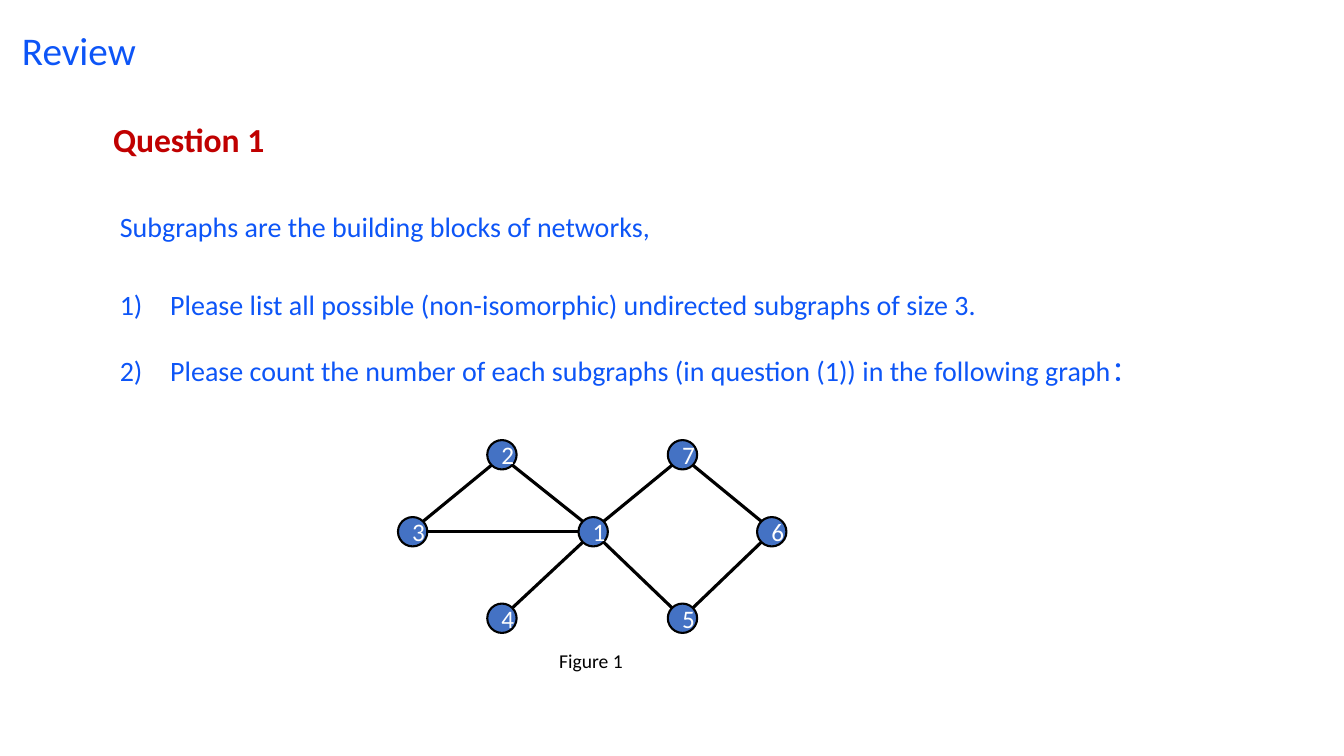
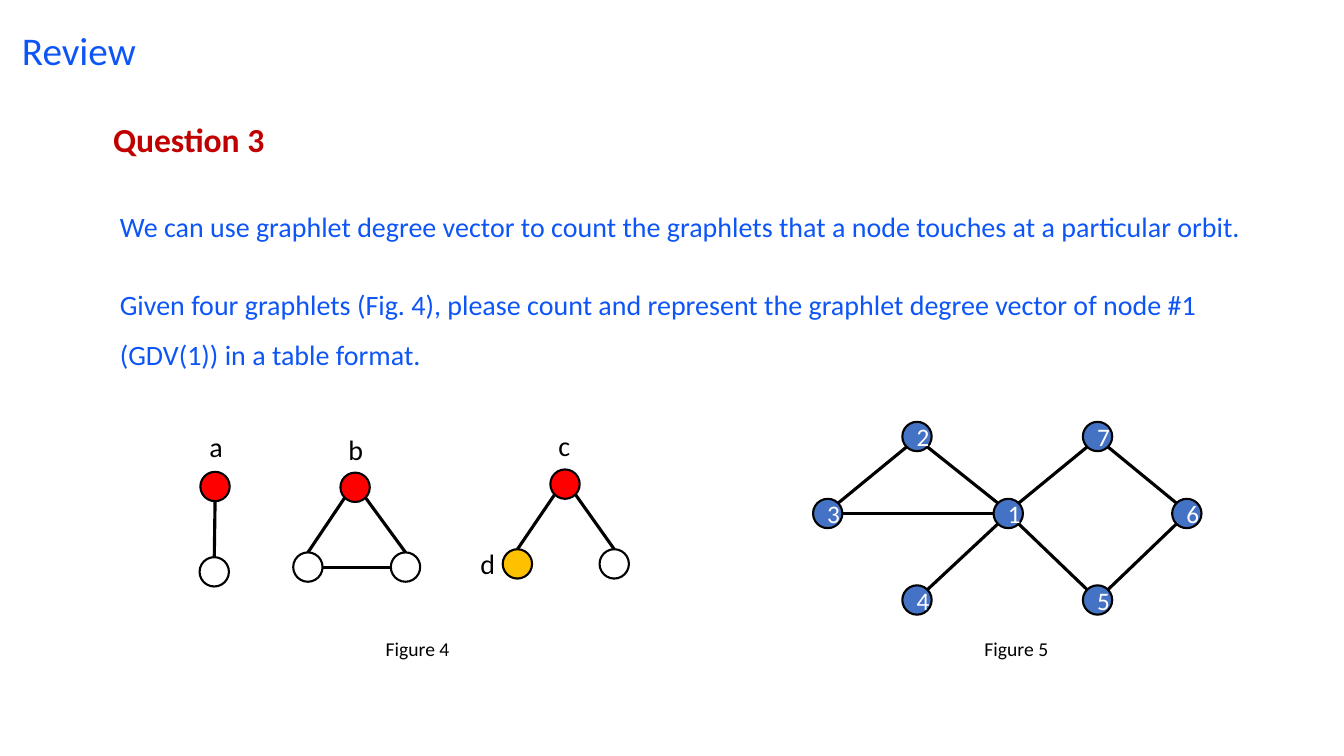
"""Build the two review slides on subgraphs and graphlets."""
import math

import lxml.etree
import pptx
import pptx.dml.color
import pptx.enum.shapes
import pptx.enum.text
import pptx.oxml.ns
import pptx.util

Cm = pptx.util.Cm
Pt = pptx.util.Pt
ALIGN = pptx.enum.text.PP_ALIGN
ANCHOR = pptx.enum.text.MSO_ANCHOR
qn = pptx.oxml.ns.qn

BLUE, DARK_RED, BLACK, WHITE = "0D55F7", "C00000", "000000", "FFFFFF"
NODE_BLUE, RED, AMBER = "4472C4", "FF0000", "FFC000"

NODES = {
    "1": (0, 0), "6": (4.5, 0), "5": (2.25, 2.18), "7": (2.25, -1.94),
    "3": (-4.55, 0), "4": (-2.3, 2.18), "2": (-2.3, -1.94),
}
EDGES = ["21", "17", "31", "23", "41", "51", "76", "56"]
UP = -90


def rgb(value):
    """Return the colour of a hex string."""
    return pptx.dml.color.RGBColor.from_string(value)


def apply(target, values):
    """Set every attribute in values on target."""
    for name, value in values.items():
        setattr(target, name, value)


class Deck:
    """Hold the shared style, the current slide and the drawing methods."""

    font = "Calibri"
    radius = 0.37
    line_widths = {"node": 1.5, "edge": 2.25}

    def __init__(self):
        self.prs = pptx.Presentation()
        apply(self.prs, {"slide_width": Cm(33.87), "slide_height": Cm(19.05)})
        self.shapes = None

    def slide(self, title, question):
        """Start a slide with its title and question heading."""
        s = self.prs.slides.add_slide(self.prs.slide_layouts[5])
        self.shapes = s.shapes
        sp = s.shapes.title
        apply(sp, {"left": Cm(0.3), "top": Cm(0.3),
                   "width": Cm(29.2), "height": Cm(2.08)})
        heading = {"spacing": 0.9, "anchor": ANCHOR.MIDDLE}
        self.fill_text(sp, [title], 28, BLUE, **heading)
        self.text(question, 2.6, 2.52, 29.2, 2.08, 24, DARK_RED,
                  bold=True, **heading)

    def fill_text(self, sp, lines, size, color, bold=False, spacing=1.0,
                  align=ALIGN.LEFT, anchor=ANCHOR.TOP, gaps=()):
        """Fill a shape with formatted paragraphs and return them."""
        tf = sp.text_frame
        apply(tf, {"word_wrap": True, "vertical_anchor": anchor,
                   "auto_size": pptx.enum.text.MSO_AUTO_SIZE.NONE})
        tf.text = "\n".join(lines)
        for p in tf.paragraphs:
            apply(p, {"alignment": align, "line_spacing": spacing})
            for r in p.runs:
                apply(r.font, {"name": self.font, "size": Pt(size), "bold": bold})
                r.font.color.rgb = rgb(color)
        for p, gap in zip(tf.paragraphs[1:], gaps):
            p.space_before = Pt(gap)
        return tf.paragraphs

    def text(self, line, x, y, w, h, size, color=BLACK, **style):
        """Add a text box with one paragraph."""
        sp = self.shapes.add_textbox(Cm(x), Cm(y), Cm(w), Cm(h))
        self.fill_text(sp, [line], size, color, **style)

    def body(self, lines, gaps, width, numbered=False):
        """Add the question text, numbering all but its first paragraph."""
        sp = self.shapes.add_textbox(Cm(2.77), Cm(4.72), Cm(width), Cm(5.77))
        paragraphs = self.fill_text(sp, lines, 20, BLUE, spacing=1.5, gaps=gaps)
        if numbered:
            for p in paragraphs[1:]:
                pPr = p._p.get_or_add_pPr()
                pPr.set("marL", str(Cm(1.27)))
                pPr.set("indent", str(-Cm(1.27)))
                lxml.etree.SubElement(pPr, qn("a:buAutoNum"), type="arabicParenR")

    def caption(self, line, x, y):
        """Add a figure caption."""
        self.text(line, x, y, 2.21, 0.86, 14)

    def letter(self, line, x, y):
        """Add an orbit letter beside a node."""
        self.text(line, x, y, 0.74, 1.12, 20)

    def node(self, x, y, fill=None, label=None):
        """Draw a round node about a centre and return the centre."""
        d = Cm(2 * self.radius)
        sp = self.shapes.add_shape(pptx.enum.shapes.MSO_SHAPE.OVAL,
                                   Cm(x - self.radius), Cm(y - self.radius), d, d)
        sp.shadow.inherit = False
        if fill:
            sp.fill.solid()
            sp.fill.fore_color.rgb = rgb(fill)
        else:
            sp.fill.background()
        self.stroke(sp.line, "node")
        if label:
            self.fill_text(sp, [label], 18, WHITE, align=ALIGN.CENTER,
                           anchor=ANCHOR.MIDDLE)
        return x, y

    def stroke(self, line, kind):
        """Give a line its width and colour."""
        line.width = Pt(self.line_widths[kind])
        line.color.rgb = rgb(BLACK)

    def rim(self, centre, angle):
        """Return the point of a node's rim at an angle in degrees."""
        a = math.radians(angle)
        return [Cm(c + self.radius * f(a))
                for c, f in zip(centre, (math.cos, math.sin))]

    def edge(self, a, b, end=None):
        """Join two nodes at the nearest of their eight rim points."""
        angle = math.degrees(math.atan2(b[1] - a[1], b[0] - a[0]))
        start = 45 * round(angle / 45)
        end = start + 180 if end is None else end
        cxn = self.shapes.add_connector(
            pptx.enum.shapes.MSO_CONNECTOR.STRAIGHT,
            *self.rim(a, start), *self.rim(b, end))
        self.stroke(cxn.line, "edge")
        lxml.etree.SubElement(cxn._element.spPr, qn("a:effectLst"))

    def network(self, x, y):
        """Draw the seven-node graph as a group with node 1 at x, y."""
        outer = self.shapes
        self.shapes = outer.add_group_shape().shapes
        centres = {name: self.node(x + dx, y + dy, NODE_BLUE, name)
                   for name, (dx, dy) in NODES.items()}
        for a, b in EDGES:
            self.edge(centres[a], centres[b])
        self.shapes = outer

    def graphlet(self, top, leaves, closed=False):
        """Draw a red top node joined to leaves given as x, y, fill."""
        root = self.node(*top, RED)
        ends = [self.node(*leaf) for leaf in leaves]
        for leaf in ends:
            self.edge(root, leaf, UP)
        if closed:
            self.edge(*ends)


def main():
    """Build and save the slides."""
    deck = Deck()

    deck.slide("Review", "Question 1")
    deck.body([
        "Subgraphs are the building blocks of networks,",
        "Please list all possible (non-isomorphic) undirected subgraphs of size 3.",
        "Please count the number of each subgraphs (in question (1)) in the "
        "following graph：",
    ], (20, 11), 28.32, numbered=True)
    deck.network(14.95, 13.4)
    deck.caption("Figure 1", 13.84, 16.23)

    deck.slide("Review", "Question 3")
    deck.body([
        "We can use graphlet degree vector to count the graphlets that a node "
        "touches at a particular orbit.",
        "Given four graphlets (Fig. 4), please count and represent the graphlet "
        "degree vector of node #1 (GDV(1)) in a table format.",
    ], (20,), 28.83)
    deck.network(25.41, 12.94)
    deck.caption("Figure 5", 24.56, 15.93)
    deck.graphlet((5.42, 12.26), [(5.4, 14.41)])
    deck.graphlet((8.95, 12.28), [(7.76, 14.29), (10.22, 14.29)], closed=True)
    deck.graphlet((14.24, 12.2), [(13.04, 14.21, AMBER), (15.48, 14.21)])
    for name, x, y in (("a", 5.03, 10.69), ("b", 8.53, 10.77),
                       ("c", 13.82, 10.67), ("d", 11.86, 13.64)):
        deck.letter(name, x, y)
    deck.caption("Figure 4", 9.47, 15.93)

    deck.prs.save("out.pptx")


if __name__ == "__main__":
    main()
